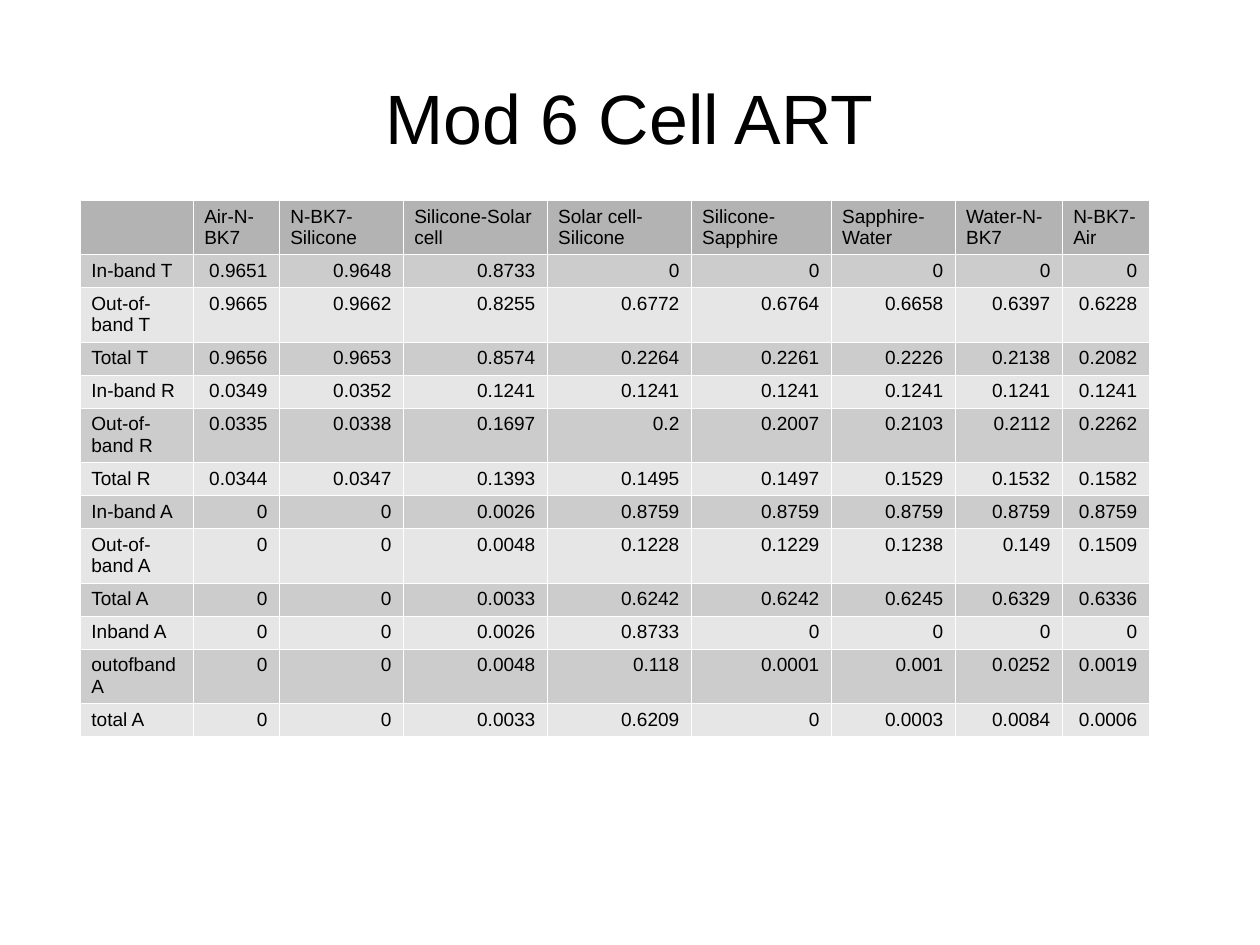
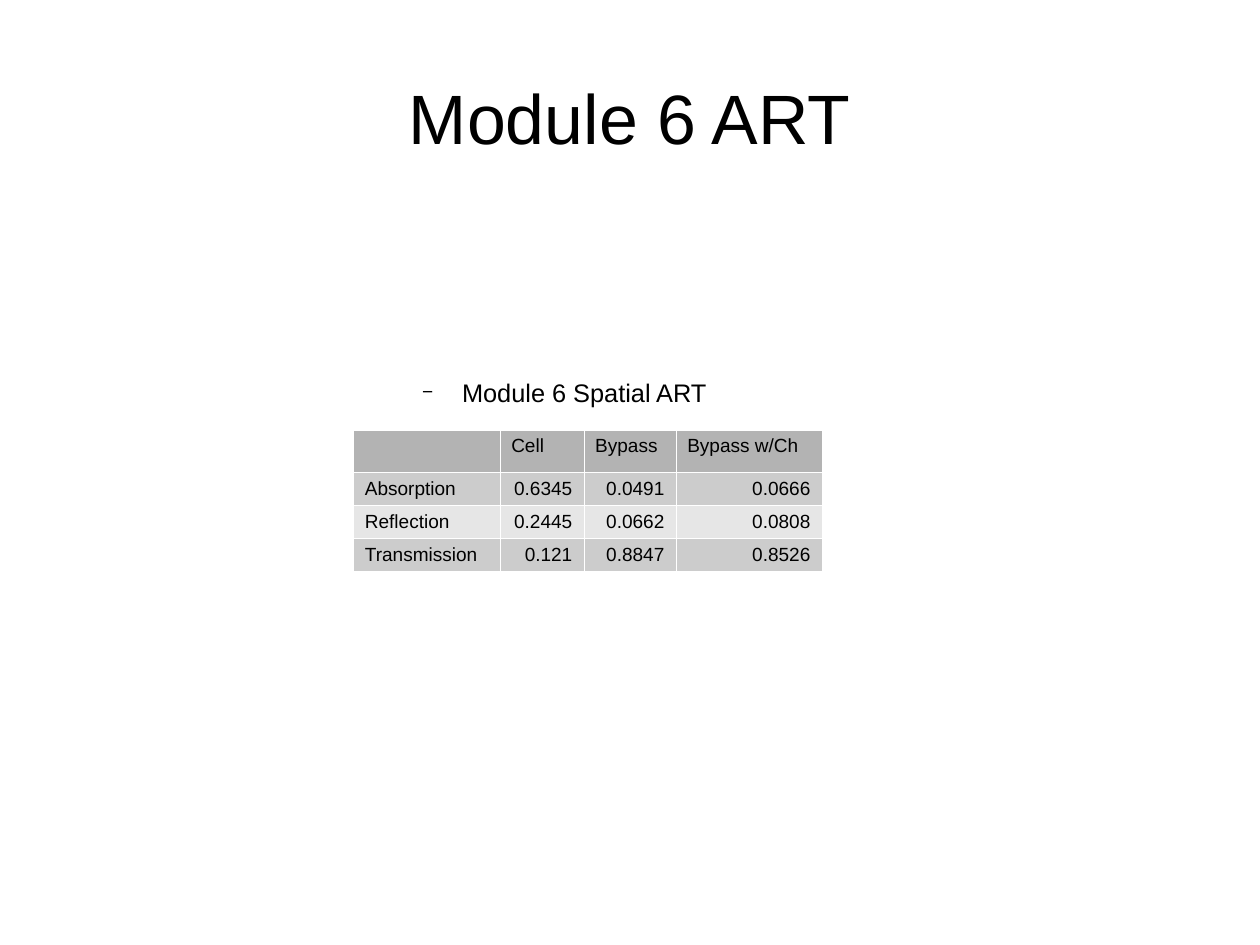
from lxml.etree import SubElement
from pptx import Presentation
from pptx.dml.color import RGBColor
from pptx.enum.text import MSO_ANCHOR as Anchor, MSO_AUTO_SIZE as AutoSize, PP_ALIGN as Align
from pptx.oxml.ns import qn
from pptx.util import Pt

COLORS = {"text": "000000", "border": "FFFFFF", "header": "B3B3B3", "odd": "CCCCCC", "even": "E6E6E6"}
FONT = "Arial"
SIZES = {"title": 44, "body": 16, "table": 12}
SLIDE_SIZE = (793.75, 595.25)
TITLE_BOX = (39.6, 23.76, 714.24, 99.36)
BORDER_WIDTH = 0.06
FRAME_FORMAT = {
    "margin_left": 0, "margin_top": 0, "margin_right": 0, "margin_bottom": 0,
    "word_wrap": True, "auto_size": AutoSize.NONE,
}
CELL_MARGINS = {
    "margin_left": Pt(7.2), "margin_top": Pt(3.6),
    "margin_right": Pt(7.2), "margin_bottom": Pt(3.6),
}
SHORT_ROW, TALL_ROW = 20.8, 34.3

CELL_TABLE = {
    "origin": (50.4, 126),
    "columns": [71.1, 54.2, 78.1, 90.7, 90.7, 88.2, 78.1, 67.5, 54.7],
    "header_height": TALL_ROW,
    "tall_labels": {"Out-of-band T", "Out-of-band R", "Out-of-band A", "outofband A"},
    "rows": [
        ("", "Air-N-BK7", "N-BK7-Silicone", "Silicone-Solar cell", "Solar cell-Silicone",
         "Silicone-Sapphire", "Sapphire-Water", "Water-N-BK7", "N-BK7-Air"),
        ("In-band T", "0.9651", "0.9648", "0.8733", "0", "0", "0", "0", "0"),
        ("Out-of-band T", "0.9665", "0.9662", "0.8255", "0.6772", "0.6764", "0.6658", "0.6397", "0.6228"),
        ("Total T", "0.9656", "0.9653", "0.8574", "0.2264", "0.2261", "0.2226", "0.2138", "0.2082"),
        ("In-band R", "0.0349", "0.0352", "0.1241", "0.1241", "0.1241", "0.1241", "0.1241", "0.1241"),
        ("Out-of-band R", "0.0335", "0.0338", "0.1697", "0.2", "0.2007", "0.2103", "0.2112", "0.2262"),
        ("Total R", "0.0344", "0.0347", "0.1393", "0.1495", "0.1497", "0.1529", "0.1532", "0.1582"),
        ("In-band A", "0", "0", "0.0026", "0.8759", "0.8759", "0.8759", "0.8759", "0.8759"),
        ("Out-of-band A", "0", "0", "0.0048", "0.1228", "0.1229", "0.1238", "0.149", "0.1509"),
        ("Total A", "0", "0", "0.0033", "0.6242", "0.6242", "0.6245", "0.6329", "0.6336"),
        ("Inband A", "0", "0", "0.0026", "0.8733", "0", "0", "0", "0"),
        ("outofband A", "0", "0", "0.0048", "0.118", "0.0001", "0.001", "0.0252", "0.0019"),
        ("total A", "0", "0", "0.0033", "0.6209", "0", "0.0003", "0.0084", "0.0006"),
    ],
}
MODULE_TABLE = {
    "origin": (222.7, 270.7),
    "columns": [92.2, 52.9, 58, 92],
    "header_height": 26.9,
    "tall_labels": set(),
    "rows": [
        ("", "Cell", "Bypass", "Bypass w/Ch"),
        ("Absorption", "0.6345", "0.0491", "0.0666"),
        ("Reflection", "0.2445", "0.0662", "0.0808"),
        ("Transmission", "0.121", "0.8847", "0.8526"),
    ],
}
SLIDES = [
    {"layout": 5, "title": "Mod 6 Cell ART", "table": CELL_TABLE},
    {"layout": 1, "title": "Module 6 ART", "table": MODULE_TABLE,
     "caption": "Module 6 Spatial ART", "caption_box": (223.4, 237.5, 257.04, 21.6)},
]


def apply(target, values):
    for name, value in values.items():
        setattr(target, name, value)


def write(paragraph, text, size, alignment):
    run = paragraph.add_run()
    run.text = text
    apply(run.font, {"name": FONT, "size": Pt(size)})
    run.font.color.rgb = RGBColor.from_string(COLORS["text"])
    paragraph.alignment = alignment


def fill_placeholder(shape, box, text, size, alignment, anchor):
    apply(shape, dict(zip(("left", "top", "width", "height"), map(Pt, box))))
    frame = shape.text_frame
    apply(frame, {**FRAME_FORMAT, "vertical_anchor": anchor})
    paragraph = frame.paragraphs[0]
    write(paragraph, text, size, alignment)
    paragraph.space_before = Pt(0)
    return paragraph


def add_dash(paragraph):
    paragraph.level = 1
    properties = paragraph._p.get_or_add_pPr()
    properties.set("marL", str(Pt(67.68)))
    properties.set("indent", str(Pt(-25.2)))
    color = SubElement(properties, qn("a:buClr"))
    SubElement(color, qn("a:srgbClr"), val=COLORS["text"])
    SubElement(properties, qn("a:buSzPct"), val="75000")
    SubElement(properties, qn("a:buFont"), typeface=FONT)
    SubElement(properties, qn("a:buChar"), char="−")


def style_cell(cell, color):
    properties = cell._tc.get_or_add_tcPr()
    for side in ("lnL", "lnR", "lnT", "lnB"):
        line = SubElement(properties, qn(f"a:{side}"), w=str(Pt(BORDER_WIDTH)))
        fill = SubElement(line, qn("a:solidFill"))
        SubElement(fill, qn("a:srgbClr"), val=COLORS["border"])
    cell.fill.solid()
    cell.fill.fore_color.rgb = RGBColor.from_string(color)
    apply(cell, CELL_MARGINS)


def add_table(slide, content):
    rows, columns = content["rows"], content["columns"]
    heights = [content["header_height"]] + [
        TALL_ROW if row[0] in content["tall_labels"] else SHORT_ROW for row in rows[1:]
    ]
    box = (*content["origin"], sum(columns), sum(heights))
    table = slide.shapes.add_table(len(rows), len(columns), *map(Pt, box)).table
    apply(table, {"first_row": False, "horz_banding": False})
    for column, width in zip(table.columns, columns):
        column.width = Pt(width)
    for row_index, row in enumerate(rows):
        table.rows[row_index].height = Pt(heights[row_index])
        band = "header" if row_index == 0 else "odd" if row_index % 2 else "even"
        for column_index, text in enumerate(row):
            cell = table.cell(row_index, column_index)
            style_cell(cell, COLORS[band])
            paragraph = cell.text_frame.paragraphs[0]
            if text:
                numeric = row_index and column_index
                write(paragraph, text, SIZES["table"], Align.RIGHT if numeric else Align.LEFT)
            else:
                SubElement(paragraph._p, qn("a:endParaRPr"), sz=str(SIZES["table"] * 100))


def main():
    presentation = Presentation()
    presentation.slide_width, presentation.slide_height = map(Pt, SLIDE_SIZE)
    for content in SLIDES:
        slide = presentation.slides.add_slide(presentation.slide_layouts[content["layout"]])
        fill_placeholder(slide.shapes.title, TITLE_BOX, content["title"],
                         SIZES["title"], Align.CENTER, Anchor.MIDDLE)
        add_table(slide, content["table"])
        if "caption" in content:
            caption = fill_placeholder(slide.placeholders[1], content["caption_box"], content["caption"],
                                       SIZES["body"], Align.LEFT, Anchor.TOP)
            add_dash(caption)
    presentation.save("out.pptx")


if __name__ == "__main__":
    main()
